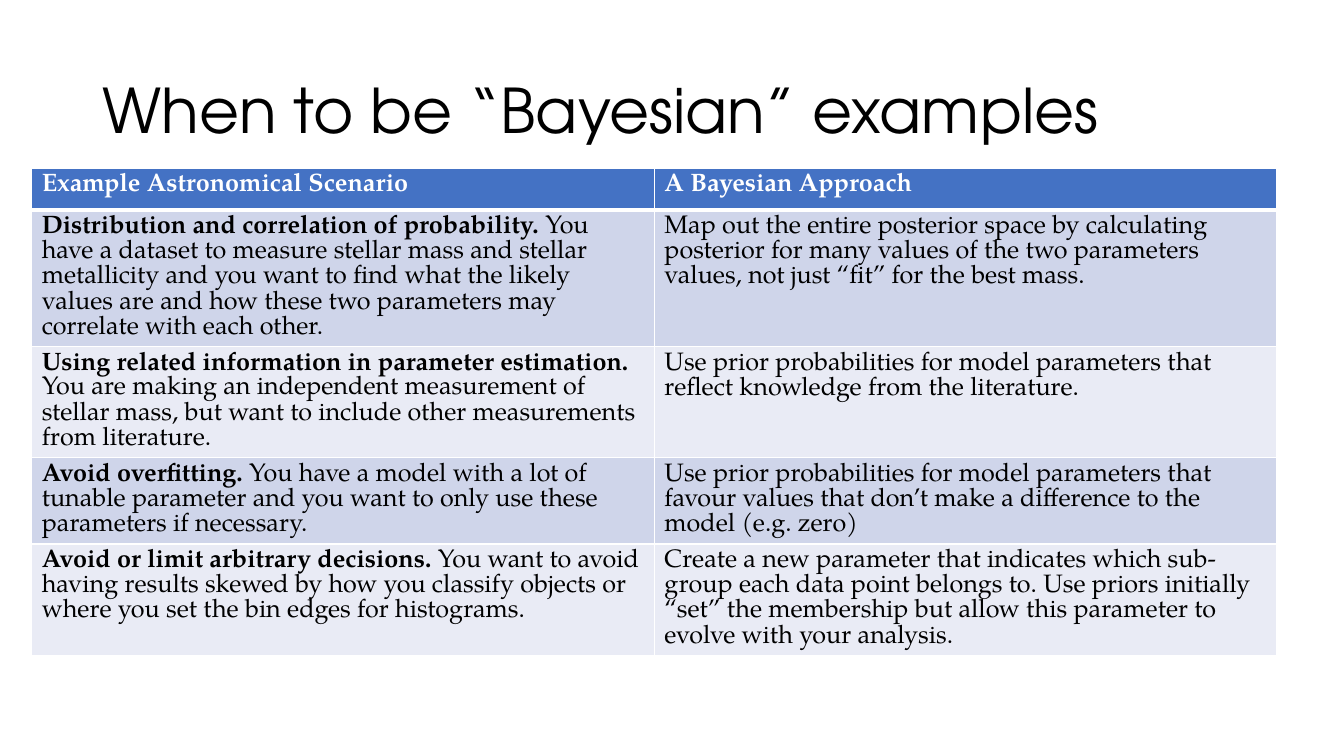
import pptx
import pptx.dml.color
import pptx.enum.text
import pptx.oxml
import pptx.oxml.ns
import pptx.util
from pptx.util import Cm, Pt

RGBColor = pptx.dml.color.RGBColor

TITLE = "When to be “Bayesian” examples"
HEADERS = ("Example Astronomical Scenario", "A Bayesian Approach")
# Each scenario: bold lead, description, Bayesian approach
SCENARIOS = [
    ("Distribution and correlation of probability. ",
     "You have a dataset to measure stellar mass and stellar metallicity and you want to find "
     "what the likely values are and how these two parameters may correlate with each other.",
     "Map out the entire posterior space by calculating posterior for many values of the two "
     "parameters values, not just “fit” for the best mass."),
    ("Using related information in parameter estimation. ",
     "You are making an independent measurement of stellar mass, but want to include other "
     "measurements from literature.",
     "Use prior probabilities for model parameters that reflect knowledge from the literature."),
    ("Avoid overfitting.",
     " You have a model with a lot of tunable parameter and you want to only use these "
     "parameters if necessary.",
     "Use prior probabilities for model parameters that favour values that don’t make a "
     "difference to the model (e.g. zero)"),
    ("Avoid or limit arbitrary decisions. ",
     "You want to avoid having results skewed by how you classify objects or where you set the "
     "bin edges for histograms.",
     "Create a new parameter that indicates which sub-group each data point belongs to. Use "
     "priors initially “set” the membership but allow this parameter to evolve with your "
     "analysis."),
]

TITLE_FONT = "TeX Gyre Adventor"
BODY_FONT = "TeX Gyre Pagella"
BLACK = RGBColor(0x00, 0x00, 0x00)
WHITE = RGBColor(0xFF, 0xFF, 0xFF)
HEADER_BLUE = RGBColor(0x44, 0x72, 0xC4)
BANDS = (RGBColor(0xCF, 0xD5, 0xEA), RGBColor(0xE9, 0xEB, 0xF5))

COLUMN_WIDTH = Cm(15.69)
ROW_HEIGHT = Cm(1.04)  # minimum; rows grow with their text


def add_run(paragraph, text, font_name, size, color, bold=False):
    run = paragraph.add_run()
    run.text = text
    run.font.name = font_name
    run.font.size = Pt(size)
    run.font.bold = bold
    run.font.color.rgb = color


def set_borders(cell, bottom_width):
    """Draw white borders of 1 pt, with the given width in points at the bottom."""
    properties = cell._tc.get_or_add_tcPr()
    widths = {"lnL": 1, "lnR": 1, "lnT": 1, "lnB": bottom_width}
    for position, (side, width) in enumerate(widths.items()):
        border = pptx.oxml.parse_xml(
            f'<a:{side} {pptx.oxml.ns.nsdecls("a")} w="{Pt(width)}">'
            f'<a:solidFill><a:srgbClr val="{WHITE}"/></a:solidFill></a:{side}>')
        properties.insert(position, border)


def fill_cell(cell, runs, fill, color, bottom_width=1):
    """Write (text, bold) runs into a cell and format it."""
    cell.fill.solid()
    cell.fill.fore_color.rgb = fill
    set_borders(cell, bottom_width)
    for text, bold in runs:
        add_run(cell.text_frame.paragraphs[0], text, BODY_FONT, 18, color, bold)


def add_title(slide):
    title = slide.shapes.title
    title.left, title.top, title.width, title.height = Cm(2.33), Cm(1.01), Cm(29.21), Cm(3.68)
    frame = title.text_frame
    frame.auto_size = pptx.enum.text.MSO_AUTO_SIZE.NONE
    frame.vertical_anchor = pptx.enum.text.MSO_ANCHOR.MIDDLE
    paragraph = frame.paragraphs[0]
    paragraph.alignment = pptx.enum.text.PP_ALIGN.LEFT
    paragraph.line_spacing = 0.9
    add_run(paragraph, TITLE, TITLE_FONT, 44, BLACK)


def add_scenario_table(slide):
    row_count = len(SCENARIOS) + 1
    table = slide.shapes.add_table(
        row_count, len(HEADERS), Cm(0.8), Cm(4.25),
        COLUMN_WIDTH * len(HEADERS), ROW_HEIGHT * row_count).table
    for column, header in enumerate(HEADERS):
        fill_cell(table.cell(0, column), [(header, True)], HEADER_BLUE, WHITE, bottom_width=3)
    for row, (lead, description, approach) in enumerate(SCENARIOS, start=1):
        band = BANDS[(row - 1) % len(BANDS)]
        fill_cell(table.cell(row, 0), [(lead, True), (description, False)], band, BLACK)
        fill_cell(table.cell(row, 1), [(approach, False)], band, BLACK)


def main():
    presentation = pptx.Presentation()
    presentation.slide_width = Cm(33.87)
    presentation.slide_height = Cm(19.05)
    slide = presentation.slides.add_slide(presentation.slide_layouts[5])
    add_title(slide)
    add_scenario_table(slide)
    presentation.save("out.pptx")


if __name__ == "__main__":
    main()
